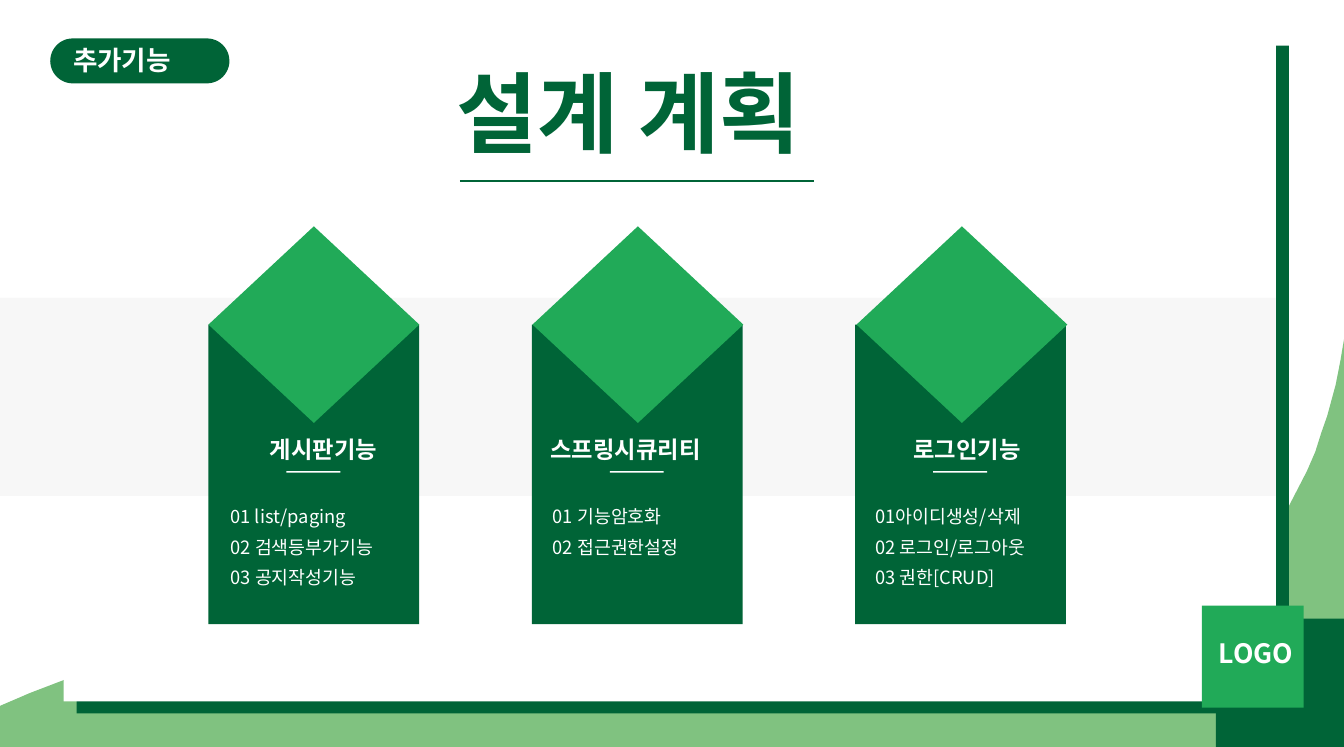
from lxml import etree
from pptx import Presentation
from pptx.dml.color import RGBColor
from pptx.enum.shapes import MSO_CONNECTOR, MSO_SHAPE
from pptx.enum.text import MSO_ANCHOR
from pptx.oxml.ns import qn
from pptx.util import Inches, Pt

RECTANGLE = MSO_SHAPE.RECTANGLE
ROUNDED = MSO_SHAPE.ROUNDED_RECTANGLE
DIAMOND = MSO_SHAPE.DIAMOND
STRAIGHT = MSO_CONNECTOR.STRAIGHT
TOP = MSO_ANCHOR.TOP

SLIDE_WIDTH, ASPECT_RATIO = 11.22, 1.8
FONT = "Noto Sans CJK KR"
DARK, GREEN, LIGHT = "006437", "21AA58", "80C280"
WHITE, GRAY = "FFFFFF", "F7F7F7"

# All positions are percentages of the slide's width and height.
WAVE = [
    (0, 100), (0, 94.5), (2.23, 92.78), (4.81, 91), (9.8, 88.28), (18, 85.23),
    (28.07, 83.79), (37.34, 84.59), (50, 89.1), (69, 94.38), (77.63, 92.46),
    (84.49, 87.96), (89.84, 81.38), (93.76, 73.68), (95.72, 68.38),
    (97.24, 63.08), (97.86, 60.51), (98.31, 57.95), (98.75, 55.7),
    (99.38, 51.52), (99.73, 48.31), (100, 45.43), (100, 100),
]

CARD_LEFT, CARD_WIDTH = 15.51, 15.69
CARD_PITCH, DIAMOND_PITCH = 24.06, 24.11
ITEM_LEFT, ITEM_TOP = 17.15, 67.65
ITEM_COLUMN_PITCH, ITEM_ROW_PITCH = 23.98, 4.07
# Heading, its offset from the card's left edge, items
CARDS = [
    ("게시판기능", 4.58, ["01 list/paging", "02 검색등부가기능", "03 공지작성기능"]),
    ("스프링시큐리티", 1.38, ["01 기능암호화", "02 접근권한설정"]),
    ("로그인기능", 4.34, ["01아이디생성/삭제", "02 로그인/로그아웃", "03 권한[CRUD]"]),
]


def color(hex_string):
    return RGBColor.from_string(hex_string)


class SlideBuilder:
    def __init__(self, presentation):
        self.width = presentation.slide_width
        self.height = presentation.slide_height
        self.slide = presentation.slides.add_slide(presentation.slide_layouts[6])

    def x(self, share):
        return round(self.width * share / 100)

    def y(self, share):
        return round(self.height * share / 100)

    def frame(self, left, top, width, height):
        return self.x(left), self.y(top), self.x(width), self.y(height)

    def paint(self, shape, fill):
        shape.shadow.inherit = False
        shape.fill.solid()
        shape.fill.fore_color.rgb = color(fill)
        shape.line.fill.background()
        return shape

    def block(self, left, top, width, height, fill, kind=RECTANGLE):
        frame = self.frame(left, top, width, height)
        return self.paint(self.slide.shapes.add_shape(kind, *frame), fill)

    def outline(self, points, fill):
        corners = [(self.x(x), self.y(y)) for x, y in points]
        builder = self.slide.shapes.build_freeform(*corners[0])
        builder.add_line_segments(corners[1:], close=True)
        return self.paint(builder.convert_to_shape(), fill)

    def rule(self, left, right, y, line_color):
        line = self.slide.shapes.add_connector(
            STRAIGHT, self.x(left), self.y(y), self.x(right), self.y(y))
        line.line.color.rgb = color(line_color)
        line.line.width = Pt(1)
        etree.SubElement(line._element.spPr, qn("a:effectLst"))

    def text(self, left, top, width, height, words, size, fill=WHITE, bold=True):
        box = self.slide.shapes.add_textbox(*self.frame(left, top, width, height))
        text_frame = box.text_frame
        text_frame.word_wrap = True
        text_frame.vertical_anchor = TOP
        text_frame.margin_left = text_frame.margin_right = 0
        text_frame.margin_top = text_frame.margin_bottom = 0
        text_frame.text = words
        for run in text_frame.paragraphs[0].runs:
            run.font.size = Pt(size)
            run.font.bold = bold
            run.font.color.rgb = color(fill)
            run.font.name = FONT
            east_asian = etree.SubElement(run.font._element, qn("a:ea"))
            east_asian.set("typeface", FONT)

    def card(self, index, heading, heading_offset, items):
        left = CARD_LEFT + index * CARD_PITCH
        self.block(left, 43.46, CARD_WIDTH, 40.11, DARK)
        self.block(left + 5.8, 63.07, 4.01, 0.22, WHITE)
        self.block(CARD_LEFT + index * DIAMOND_PITCH, 30.3, CARD_WIDTH, 26.32,
                   GREEN, DIAMOND)
        self.text(left + heading_offset, 58.3, 14, 3.9, heading, 14)
        item_left = ITEM_LEFT + index * ITEM_COLUMN_PITCH
        for row, item in enumerate(items):
            self.text(item_left, ITEM_TOP + row * ITEM_ROW_PITCH, 13, 3.1, item,
                      11, bold=False)


def main():
    presentation = Presentation()
    presentation.slide_width = Inches(SLIDE_WIDTH)
    presentation.slide_height = Inches(SLIDE_WIDTH / ASPECT_RATIO)
    builder = SlideBuilder(presentation)

    builder.outline(WAVE, LIGHT)
    builder.block(5.7, 6.1, 90.2, 89.41, DARK)
    builder.block(4.74, 4.49, 90.2, 89.41, WHITE)
    builder.block(90.46, 82.83, 9.54, 17.17, DARK)
    builder.block(89.43, 81.1, 7.58, 13.64, GREEN)
    builder.text(90.68, 85.23, 7.3, 5.94, "LOGO", 16)

    label = builder.block(3.74, 5.14, 13.33, 6.02, DARK, ROUNDED)
    label.adjustments[0] = 0.5
    builder.text(5.44, 5.94, 10, 4.33, "추가기능", 16)

    builder.text(33.94, 7.87, 28, 14.29, "설계 계획", 53, DARK)
    builder.rule(34.22, 60.56, 24.2, DARK)

    builder.block(0, 39.9, 94.92, 26.5, GRAY)
    for index, (heading, heading_offset, items) in enumerate(CARDS):
        builder.card(index, heading, heading_offset, items)

    presentation.save("out.pptx")


if __name__ == "__main__":
    main()
